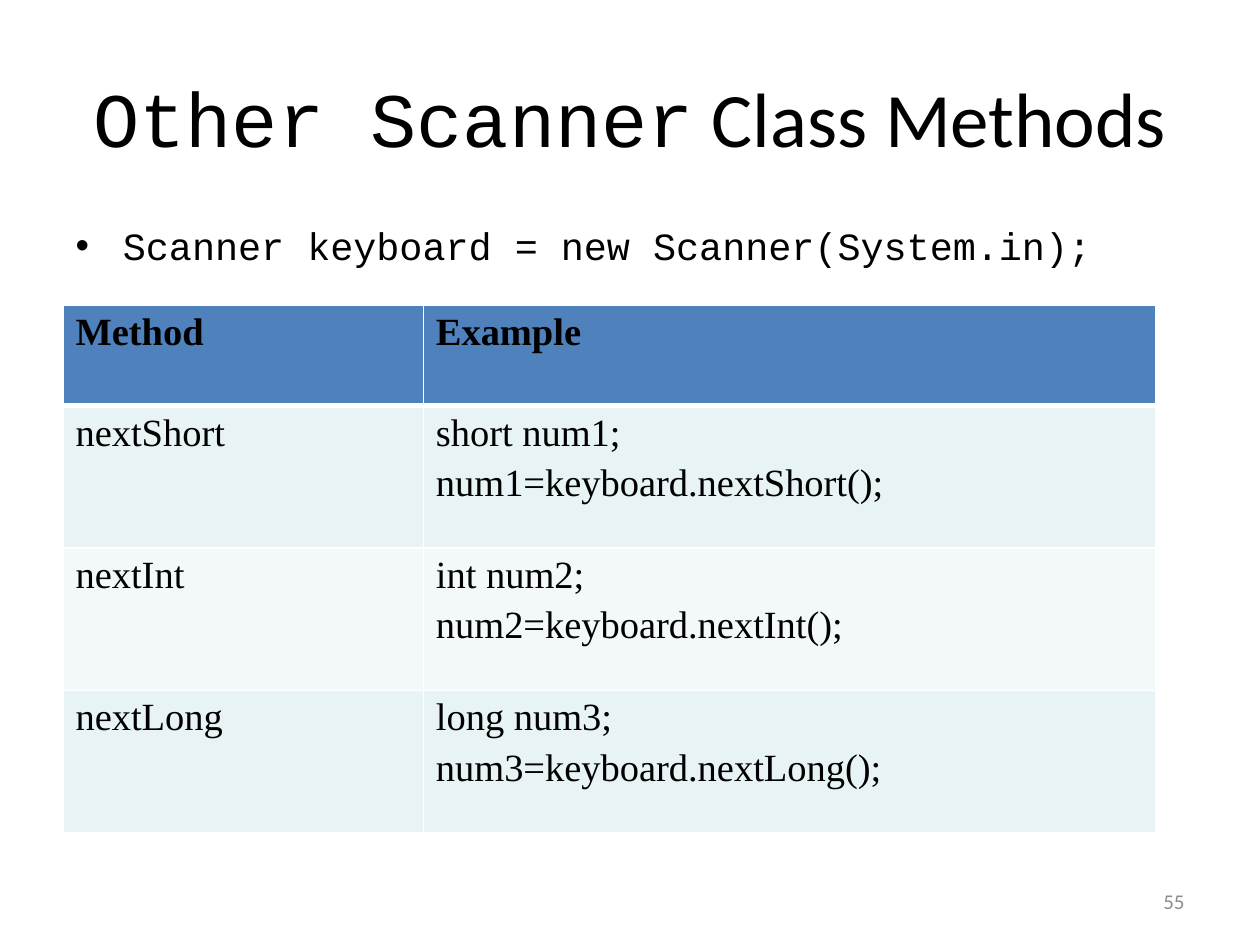
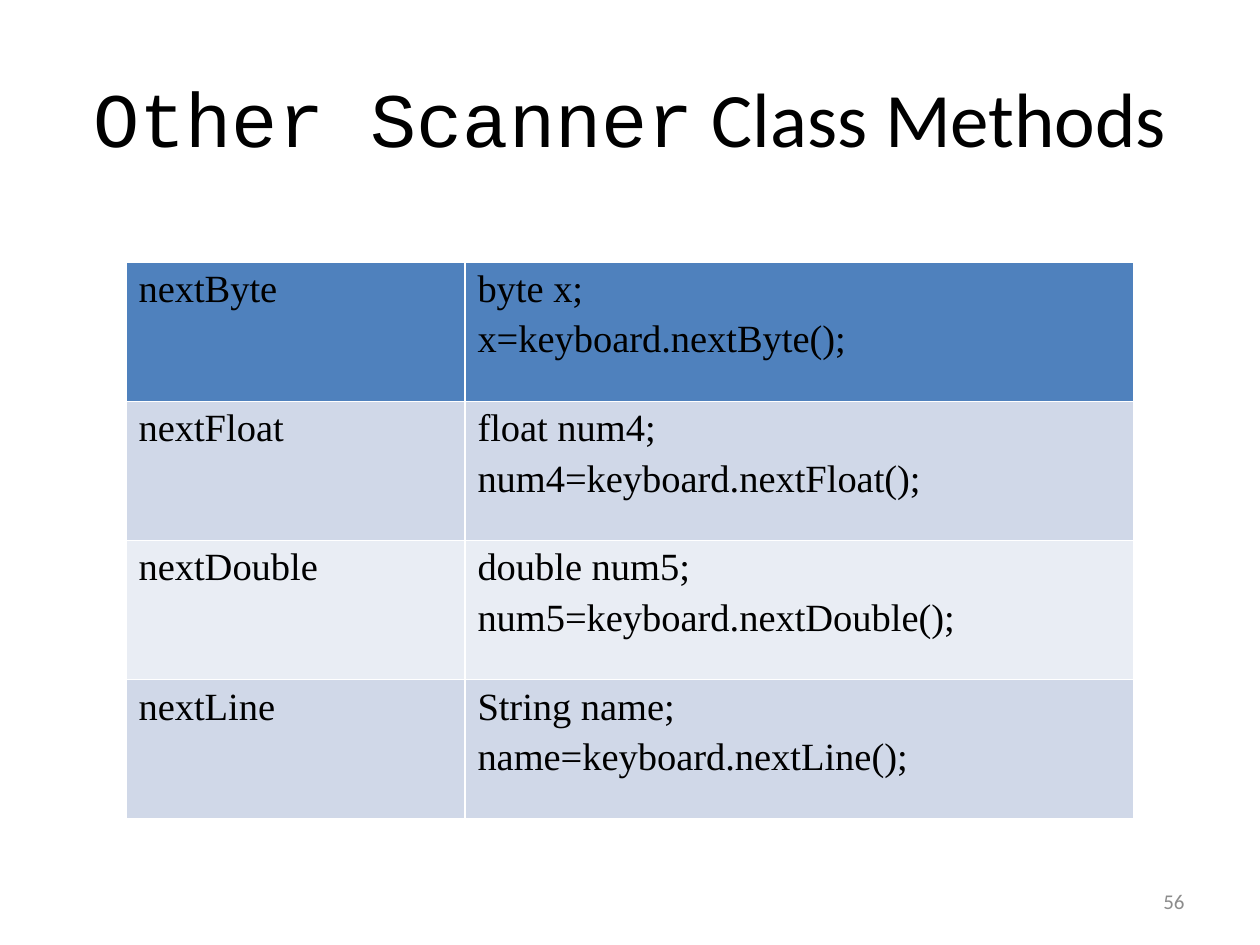
from dataclasses import dataclass

from lxml import etree
from pptx import Presentation
from pptx.dml.color import RGBColor
from pptx.enum.text import MSO_ANCHOR as Anchor, PP_ALIGN as Align
from pptx.oxml.ns import qn
from pptx.util import Inches, Pt

SANS, MONO, SERIF = "Calibri", "Courier New", "Times New Roman"
BLACK, WHITE, GREY, BLUE = "000000", "FFFFFF", "8C8C8C", "4F81BD"
TITLE_LAYOUT, BODY_LAYOUT = 5, 1
BODY_SIZE = 22


@dataclass
class MethodTable:
    left: float
    top: float
    col_widths: list[float]
    row_heights: list[float]
    bands: tuple[str, str]
    rows: list[tuple[str, ...]]  # method name, then the lines of its example
    has_heading: bool = False


SCANNER_TABLES = [
    MethodTable(0.5, 2.42, [2.86, 5.81], [0.8] + [1.13] * 3, ("E7F3F4", "F3F9FA"), [
        ("Method", "Example"),
        ("nextShort", "short num1;", "num1=keyboard.nextShort();"),
        ("nextInt", "int num2;", "num2=keyboard.nextInt();"),
        ("nextLong", "long num3;", "num3=keyboard.nextLong();"),
    ], has_heading=True),
    MethodTable(1, 2.08, [2.69, 5.31], [1.105] * 4, ("D0D8E8", "E9EDF4"), [
        ("nextByte", "byte x;", "x=keyboard.nextByte();"),
        ("nextFloat", "float num4;", "num4=keyboard.nextFloat();"),
        ("nextDouble", "double num5;", "num5=keyboard.nextDouble();"),
        ("nextLine", "String name;", "name=keyboard.nextLine();"),
    ]),
]


def rgb(color: str) -> RGBColor:
    return RGBColor.from_string(color)


def add_text(p, text: str, *, font: str, size: float, color: str = BLACK,
             bold: bool = False, align=None) -> None:
    r = p.add_run()
    r.text = text
    r.font.name, r.font.size, r.font.bold = font, Pt(size), bold
    r.font.color.rgb = rgb(color)
    if align is not None:
        p.alignment = align


def place(shape, left: float, top: float, width: float, height: float) -> None:
    shape.left, shape.top = Inches(left), Inches(top)
    shape.width, shape.height = Inches(width), Inches(height)


def set_borders(cell, top: float, bottom: float) -> None:
    """Draw white cell borders; top and bottom widths are in points."""
    tc_pr = cell._tc.get_or_add_tcPr()
    for tag, width in (("lnL", 1), ("lnR", 1), ("lnT", top), ("lnB", bottom)):
        ln = etree.SubElement(tc_pr, qn(f"a:{tag}"), w=str(Pt(width)))
        fill = etree.SubElement(ln, qn("a:solidFill"))
        etree.SubElement(fill, qn("a:srgbClr"), val=WHITE)


def add_title(s) -> None:
    title = s.shapes.title
    place(title, 0.5, 0.3, 9, 1.25)
    tf = title.text_frame
    tf.vertical_anchor = Anchor.MIDDLE
    p = tf.paragraphs[0]
    add_text(p, "Other Scanner", font=MONO, size=44, align=Align.CENTER)
    add_text(p, " Class Methods", font=SANS, size=44)


def add_body(s, text: str) -> None:
    body = s.placeholders[1]
    place(body, 0.5, 1.75, 9, 4.95)
    p = body.text_frame.paragraphs[0]
    p.line_spacing, p.space_before = 0.9, Pt(0)
    add_text(p, text, font=MONO, size=BODY_SIZE)


def add_page_number(s, number: int) -> None:
    box = s.shapes.add_textbox(Inches(7.17), Inches(6.95), Inches(2.33), Inches(0.4))
    tf = box.text_frame
    tf.word_wrap, tf.vertical_anchor = True, Anchor.MIDDLE
    add_text(tf.paragraphs[0], str(number), font=SANS, size=12, color=GREY, align=Align.RIGHT)


def fill_cell(cell, lines: tuple[str, ...], color: str, bold: bool) -> None:
    cell.fill.solid()
    cell.fill.fore_color.rgb = rgb(color)
    tf = cell.text_frame
    for i, line in enumerate(lines):
        p = tf.add_paragraph() if i else tf.paragraphs[0]
        if i:
            p.space_before = Pt(0.2 * BODY_SIZE)
        add_text(p, line, font=SERIF, size=BODY_SIZE, bold=bold)


def add_method_table(s, spec: MethodTable) -> None:
    table = s.shapes.add_table(
        len(spec.rows), len(spec.col_widths), Inches(spec.left), Inches(spec.top),
        Inches(sum(spec.col_widths)), Inches(sum(spec.row_heights))).table
    for col, width in zip(table.columns, spec.col_widths):
        col.width = Inches(width)
    rule = 3 if spec.has_heading else 1
    for i, (method, *example) in enumerate(spec.rows):
        table.rows[i].height = Inches(spec.row_heights[i])
        color = spec.bands[(i - 1) % 2] if i else BLUE
        for j, lines in enumerate(((method,), tuple(example))):
            cell = table.cell(i, j)
            set_borders(cell, top=rule if i == 1 else 1, bottom=rule if i == 0 else 1)
            fill_cell(cell, lines, color, bold=spec.has_heading and i == 0)


def main() -> None:
    prs = Presentation()
    prs.slide_width, prs.slide_height = Inches(10), Inches(7.5)
    for number, spec in enumerate(SCANNER_TABLES, start=55):
        layout = BODY_LAYOUT if spec.has_heading else TITLE_LAYOUT
        s = prs.slides.add_slide(prs.slide_layouts[layout])
        add_title(s)
        if spec.has_heading:
            add_body(s, "Scanner keyboard = new Scanner(System.in);")
        add_method_table(s, spec)
        add_page_number(s, number)
    prs.save("out.pptx")


if __name__ == "__main__":
    main()
